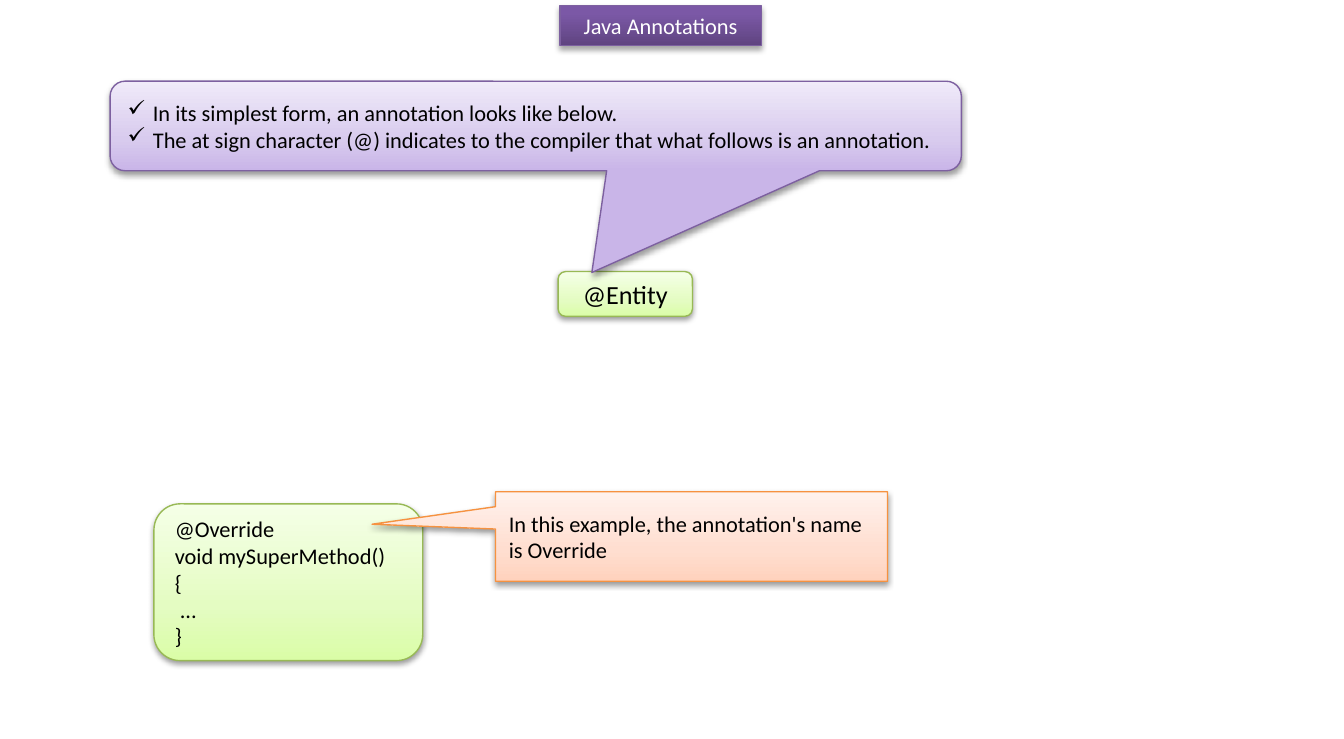
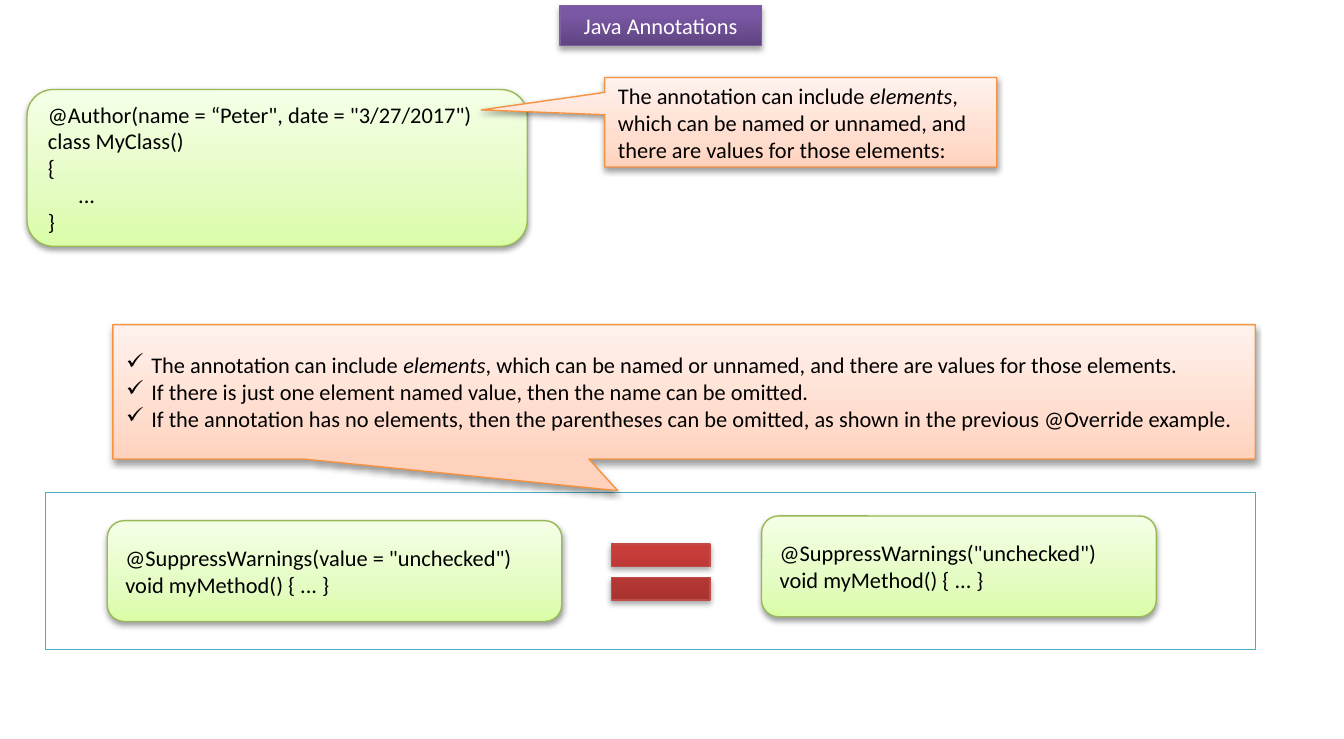
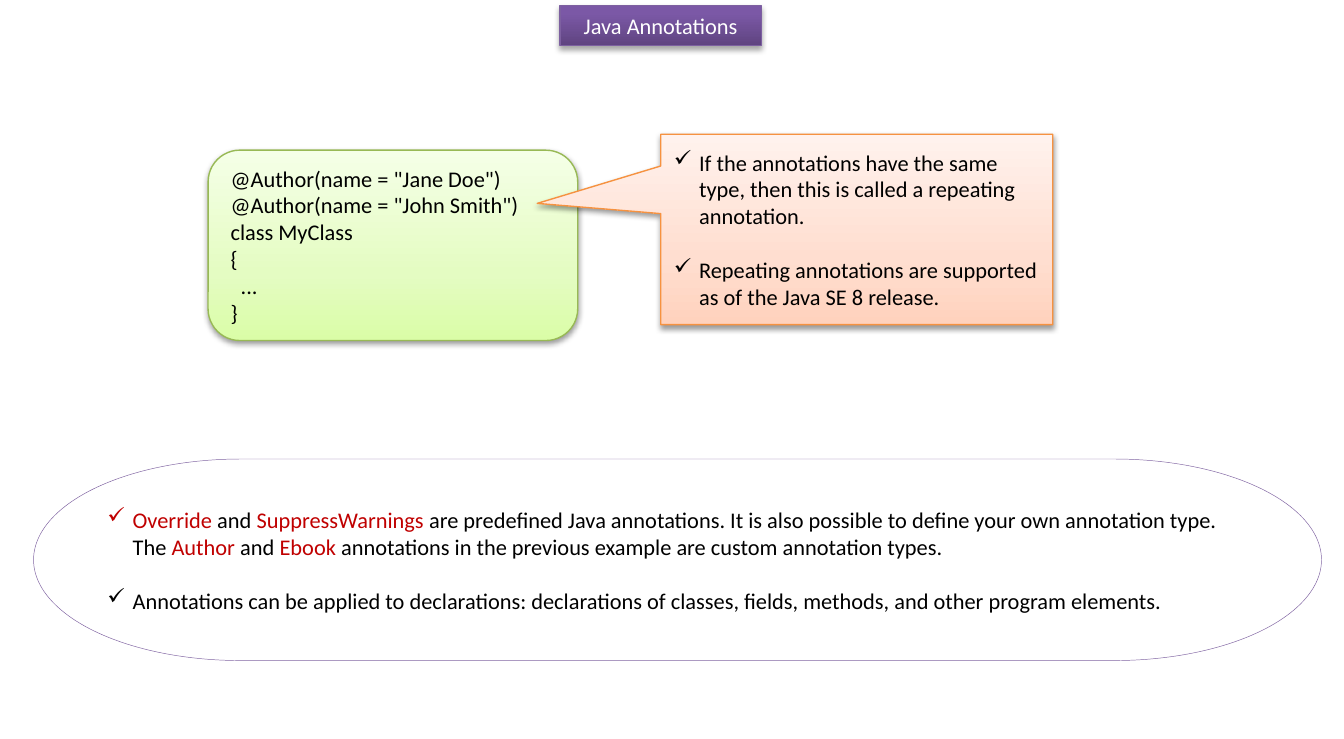
from copy import deepcopy
from dataclasses import dataclass, field

from lxml import etree
from pptx import Presentation
from pptx.dml.color import RGBColor
from pptx.enum import shapes, text
from pptx.oxml import ns
from pptx.util import Pt

KIND = shapes.MSO_SHAPE


@dataclass(frozen=True)
class Look:
    """Fill is one colour, or (position, colour) stops from bottom to top."""
    fill: object
    line: str
    line_width: float = 0.75
    shadow: tuple = None  # opacity %, blur, distance


SOFT_SHADOW = (38, 3.1, 1.6)
STRONG_SHADOW = (35, 3.1, 1.8)


@dataclass(frozen=True)
class Theme:
    font: str = "Calibri"
    body_size: float = 12
    large_size: float = 14
    blank_line: float = 14.6
    bullet_indent: float = 13.5
    text: str = "000000"
    light_text: str = "FFFFFF"
    accent_text: str = "C00000"
    looks: dict = field(default_factory=lambda: {
        "title": Look(((0, "5F4480"), (0.8, "7B58A6"), (1, "7C57A8")), "7D60A0", shadow=STRONG_SHADOW),
        "equals": Look(((0, "9C2F2D"), (0.8, "CB3E3A"), (1, "CE3B37")), "BF4C48", shadow=STRONG_SHADOW),
        "code": Look(((0, "DAFDA7"), (0.35, "E4FCC2"), (1, "F5FFE7")), "98B955", shadow=SOFT_SHADOW),
        "intro": Look(((0, "C9B5E8"), (0.35, "D8CBEE"), (1, "F0EAF9")), "7D60A0", shadow=SOFT_SHADOW),
        "note": Look(((0, "FFD2BD"), (0.35, "FFDED0"), (1, "FFF2ED")), "F69240", shadow=SOFT_SHADOW),
        "frame": Look("FFFFFF", "4BACC6", 0.25),
        "summary": Look("FFFFFF", "8064A2", 0.25),
    })


THEME = Theme()
SLIDE_SIZE = (720, 396)
TITLE = dict(kind=KIND.RECTANGLE, look="title", at=(300, 3, 108, 21.6),
             lines=["Java Annotations"], centred=True, color=THEME.light_text)
POINT_LEFT = (-0.815, -0.137)


def code(at, *lines, **options):
    return dict(kind=KIND.ROUNDED_RECTANGLE, look="code", at=at, lines=lines, **options)


def note(at, *lines, pointer=POINT_LEFT, **options):
    return dict(kind=KIND.RECTANGULAR_CALLOUT, look="note", at=at, lines=lines,
                adjustments=pointer, **options)


# A line is a string, or a list of (words, style) runs.
ELEMENTS = [("The annotation can include ", "plain"), ("elements", "italic")]
ELEMENT_VALUES = ", which can be named or unnamed, and there are values for those elements"

SLIDES = [
    [
        code((299, 145.5, 72, 24), "@Entity", centred=True, size=THEME.large_size),
        dict(kind=KIND.ROUNDED_RECTANGULAR_CALLOUT, look="intro", at=(59, 43.5, 456, 48),
             adjustments=(0.066, 1.636, 0.167), bullets=True, lines=[
                 "In its simplest form, an annotation looks like below.",
                 "The at sign character (@) indicates to the compiler that what follows is an annotation."]),
        code((82.5, 270, 144, 84), "@Override", "void mySuperMethod()", "{", " ...", "}"),
        note((265.5, 263.5, 210, 48), "In this example, the annotation's name is Override"),
    ],
    [
        dict(kind=KIND.FLOWCHART_PROCESS, look="frame", at=(24.5, 264, 648, 84)),
        code((14.5, 48, 268, 84), '@Author(name = “Peter", date = "3/27/2017")',
             "class MyClass()", "{", "      ...", "}"),
        note((324, 41.5, 210, 48), ELEMENTS + [(ELEMENT_VALUES + ":", "plain")]),
        code((57.5, 279, 243.5, 54), '@SuppressWarnings(value = "unchecked")', "void myMethod() { ... }"),
        note((60.5, 174, 612, 72),
             ELEMENTS + [(ELEMENT_VALUES + ".", "plain")],
             "If there is just one element named value, then the name can be omitted.",
             "If the annotation has no elements, then the parentheses can be omitted, "
             "as shown in the previous @Override example.",
             pointer=(-0.058, 0.736), bullets=True),
        code((408, 276.5, 211.5, 54), '@SuppressWarnings("unchecked")', "void myMethod() { ... }"),
        dict(kind=KIND.MATH_EQUAL, look="equals", at=(318, 281, 72, 51)),
    ],
    [
        code((111.5, 80.5, 198, 102), '@Author(name = "Jane Doe")', '@Author(name = "John Smith")',
             "class MyClass", "{", "  ...", "}"),
        note((354, 72, 210, 102),
             "If the annotations have the same type, then this is called a repeating annotation.",
             "Repeating annotations are supported as of the Java SE 8 release.",
             bullets=True, gap=THEME.blank_line),
        dict(kind=KIND.FLOWCHART_TERMINATOR, look="summary", at=(18, 246, 690, 108),
             bullets=True, gap=THEME.blank_line, lines=[
                 [("Override", "accent"), (" and ", "plain"), ("SuppressWarnings", "accent"),
                  (" are predefined Java annotations. It is also possible to define your own "
                   "annotation type. The ", "plain"),
                  ("Author", "accent"), (" and ", "plain"), ("Ebook ", "accent"),
                  ("annotations in the previous example are custom annotation types.", "plain")],
                 "Annotations can be applied to declarations: declarations of classes, fields, "
                 "methods, and other program elements."]),
    ],
]


def emu(points):
    return str(int(Pt(points)))


def fill_gradient(shape, stops):
    shape.fill.gradient()
    shape.fill.gradient_angle = 90
    stop_list = shape.element.spPr.find(".//" + ns.qn("a:gsLst"))
    while len(stop_list) < len(stops):
        stop_list.append(deepcopy(stop_list[-1]))
    for stop, (position, color) in zip(shape.fill.gradient_stops, stops):
        stop.position = position
        stop.color.rgb = RGBColor.from_string(color)


def cast_shadow(shape, opacity, blur, distance):
    effects = shape.element.spPr.find(ns.qn("a:effectLst"))
    shadow = etree.SubElement(effects, ns.qn("a:outerShdw"), blurRad=emu(blur), dist=emu(distance),
                              dir="5400000", rotWithShape="0")
    color = etree.SubElement(shadow, ns.qn("a:srgbClr"), val="000000")
    etree.SubElement(color, ns.qn("a:alpha"), val=str(opacity * 1000))


def apply_look(shape, look):
    if isinstance(look.fill, str):
        shape.fill.solid()
        shape.fill.fore_color.rgb = RGBColor.from_string(look.fill)
    else:
        fill_gradient(shape, look.fill)
    shape.line.color.rgb = RGBColor.from_string(look.line)
    shape.line.width = Pt(look.line_width)
    shape.shadow.inherit = False
    if look.shadow:
        cast_shadow(shape, *look.shadow)


def add_check_mark(paragraph):
    properties = paragraph._p.get_or_add_pPr()
    properties.set("marL", emu(THEME.bullet_indent))
    properties.set("indent", emu(-THEME.bullet_indent))
    etree.SubElement(properties, ns.qn("a:buChar"), char="✓")


def write_lines(frame, lines, centred, bullets, gap, size, color):
    frame.word_wrap = True
    frame.vertical_anchor = text.MSO_ANCHOR.MIDDLE
    for index, line in enumerate(lines):
        paragraph = frame.add_paragraph() if index else frame.paragraphs[0]
        paragraph.alignment = text.PP_ALIGN.CENTER if centred else text.PP_ALIGN.LEFT
        if bullets:
            add_check_mark(paragraph)
        if index and gap:
            paragraph.space_before = Pt(gap)
        for words, style in [(line, "plain")] if isinstance(line, str) else line:
            run = paragraph.add_run()
            run.text = words
            run.font.name = THEME.font
            run.font.size = Pt(size)
            run.font.italic = style == "italic"
            run.font.color.rgb = RGBColor.from_string(THEME.accent_text if style == "accent" else color)


def add_part(slide, kind, look, at, lines=(), adjustments=(), centred=False, bullets=False,
             gap=0, size=THEME.body_size, color=THEME.text):
    shape = slide.shapes.add_shape(kind, *map(Pt, at))
    for index, value in enumerate(adjustments):
        shape.adjustments[index] = value
    apply_look(shape, THEME.looks[look])
    write_lines(shape.text_frame, lines, centred, bullets, gap, size, color)
    return shape


def main():
    presentation = Presentation()
    presentation.slide_width, presentation.slide_height = map(Pt, SLIDE_SIZE)
    for parts in SLIDES:
        slide = presentation.slides.add_slide(presentation.slide_layouts[6])
        title = add_part(slide, **TITLE)
        title.text_frame.auto_size = text.MSO_AUTO_SIZE.SHAPE_TO_FIT_TEXT
        for part in parts:
            add_part(slide, **part)
    presentation.save("out.pptx")


if __name__ == "__main__":
    main()
